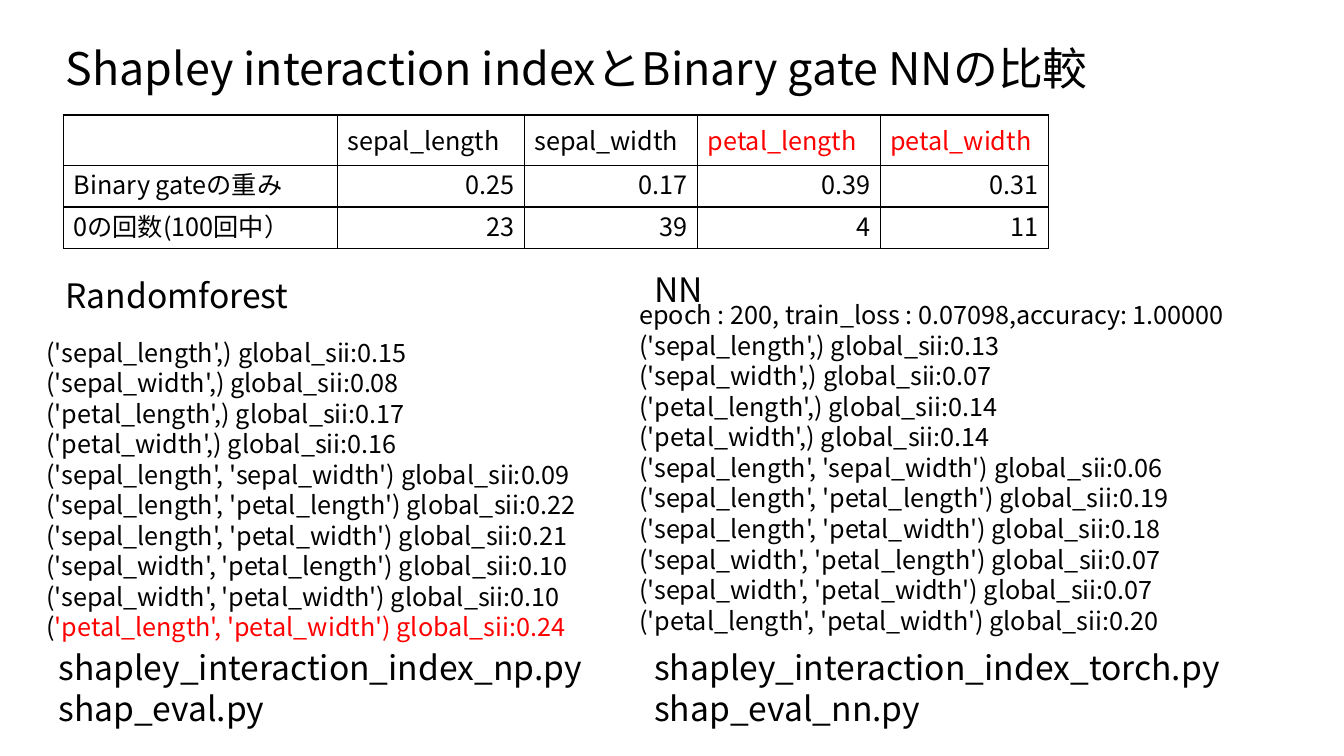
from lxml import etree
from pptx import Presentation
from pptx.dml.color import RGBColor
from pptx.enum import text
from pptx.oxml import ns
from pptx.util import Inches, Pt

FONT = "Noto Sans CJK JP"
BLACK = RGBColor(0, 0, 0)
RED = RGBColor(255, 0, 0)
LEADING = 1.21  # line pitch as a share of the text size

# ---- Content ----
TITLE = "Shapley interaction indexとBinary gate NNの比較"
FEATURES = ["sepal_length", "sepal_width", "petal_length", "petal_width"]
IMPORTANT = {"petal_length", "petal_width"}
GATE_ROWS = [
    ("Binary gateの重み", "0.25", "0.17", "0.39", "0.31"),
    ("0の回数(100回中）", "23", "39", "4", "11"),
]
TERMS = [
    "('sepal_length',)",
    "('sepal_width',)",
    "('petal_length',)",
    "('petal_width',)",
    "('sepal_length', 'sepal_width')",
    "('sepal_length', 'petal_length')",
    "('sepal_length', 'petal_width')",
    "('sepal_width', 'petal_length')",
    "('sepal_width', 'petal_width')",
    "('petal_length', 'petal_width')",
]
FOREST_SII = ["0.15", "0.08", "0.17", "0.16", "0.09", "0.22", "0.21", "0.10", "0.10", "0.24"]
NN_SII = ["0.13", "0.07", "0.14", "0.14", "0.06", "0.19", "0.18", "0.07", "0.07", "0.20"]
NN_TRAINING = "epoch : 200, train_loss : 0.07098,accuracy: 1.00000"
FOREST_FILES = ["shapley_interaction_index_np.py", "shap_eval.py"]
NN_FILES = ["shapley_interaction_index_torch.py", "shap_eval_nn.py"]

# ---- Layout, in inches: left, top, width, height ----
TITLE_BOX = (0.55, 0.35, 10.85, 0.64)
TABLE_AT = (0.63, 1.14)
COLUMN_WIDTHS = [2.72, 1.85, 1.72, 1.81, 1.67]
ROW_HEIGHTS = [0.5, 0.41, 0.41]
FILES_TOP, FILES_HEIGHT = 6.37, 0.91


def sii_lines(scores):
    return [f"{term} global_sii:{score}" for term, score in zip(TERMS, scores)]


def add_run(paragraph, words, size, color=BLACK):
    run = paragraph.add_run()
    run.text = words
    run.font.name, run.font.size, run.font.bold = FONT, Pt(size), False
    run.font.color.rgb = color
    east_asian = etree.SubElement(run.font._element, ns.qn("a:ea"))
    east_asian.set("typeface", FONT)


def format_paragraph(paragraph, size, align=text.PP_ALIGN.LEFT):
    paragraph.alignment = align
    paragraph.line_spacing = Pt(round(size * LEADING, 1))
    paragraph.space_before = paragraph.space_after = Pt(0)


def write_lines(shape, box, lines, size):
    """Place a shape and fill it; a line is a string or a list of (words, color)."""
    shape.left, shape.top, shape.width, shape.height = map(Inches, box)
    frame = shape.text_frame
    frame.word_wrap = True
    frame.auto_size = text.MSO_AUTO_SIZE.NONE
    frame.vertical_anchor = text.MSO_ANCHOR.TOP
    for i, line in enumerate(lines):
        paragraph = frame.add_paragraph() if i else frame.paragraphs[0]
        format_paragraph(paragraph, size)
        if shape.is_placeholder:
            props = paragraph._p.get_or_add_pPr()
            props.set("marL", "0")
            props.set("indent", "0")
            etree.SubElement(props, ns.qn("a:buNone"))
        for words, color in [(line, BLACK)] if isinstance(line, str) else line:
            add_run(paragraph, words, size, color)


def border_cell(cell):
    props = cell._tc.get_or_add_tcPr()
    for i, side in enumerate(("lnL", "lnR", "lnT", "lnB")):
        line = etree.Element(ns.qn(f"a:{side}"), w=str(Pt(1)))
        fill = etree.SubElement(line, ns.qn("a:solidFill"))
        etree.SubElement(fill, ns.qn("a:srgbClr"), val=str(BLACK))
        props.insert(i, line)


def add_gate_table(slide):
    frame = slide.shapes.add_table(
        len(ROW_HEIGHTS), len(COLUMN_WIDTHS), *map(Inches, TABLE_AT),
        Inches(sum(COLUMN_WIDTHS)), Inches(sum(ROW_HEIGHTS)))
    table = frame.table
    table.first_row = table.horz_banding = False
    for column, width in zip(table.columns, COLUMN_WIDTHS):
        column.width = Inches(width)
    for row, height in zip(table.rows, ROW_HEIGHTS):
        row.height = Inches(height)

    for r, values in enumerate([("", *FEATURES), *GATE_ROWS]):
        for c, value in enumerate(values):
            cell = table.cell(r, c)
            cell.fill.background()
            cell.vertical_anchor = text.MSO_ANCHOR.BOTTOM
            border_cell(cell)
            paragraph = cell.text_frame.paragraphs[0]
            if r and c:
                format_paragraph(paragraph, 18, text.PP_ALIGN.RIGHT)
            else:
                format_paragraph(paragraph, 18 if r else 24)
            if value:
                color = RED if value in IMPORTANT else BLACK
                add_run(paragraph, value, 18, color)
                if r == 0:
                    add_run(paragraph, " ", 24, color)


def main():
    deck = Presentation()
    deck.slide_width, deck.slide_height = Inches(13.33), Inches(7.5)
    slide = deck.slides.add_slide(deck.slide_layouts[4])  # Comparison
    title, forest_head, forest_list, nn_head, nn_list = slide.placeholders

    # Title and gate weights
    write_lines(title, TITLE_BOX, [TITLE], 32)
    add_gate_table(slide)

    # Random forest scores, strongest pair in red
    *forest_lines, strongest = sii_lines(FOREST_SII)
    forest_lines.append([(strongest[0], BLACK), (strongest[1:], RED)])
    write_lines(forest_head, (0.55, 2.67, 2.5, 0.5), ["Randomforest"], 24)
    write_lines(forest_list, (0.36, 3.29, 5.86, 3.13), forest_lines, 18)

    # Neural network scores
    write_lines(nn_head, (6.39, 2.61, 0.7, 0.5), ["NN"], 24)
    write_lines(nn_list, (6.24, 2.92, 6.73, 3.43), [NN_TRAINING, *sii_lines(NN_SII)], 18)

    # Script names under each list
    for left, width, files in ((0.48, 5.62, FOREST_FILES), (6.39, 6.05, NN_FILES)):
        box = (left, FILES_TOP, width, FILES_HEIGHT)
        write_lines(slide.shapes.add_textbox(*map(Inches, box)), box, files, 24)

    deck.save("out.pptx")


if __name__ == "__main__":
    main()
